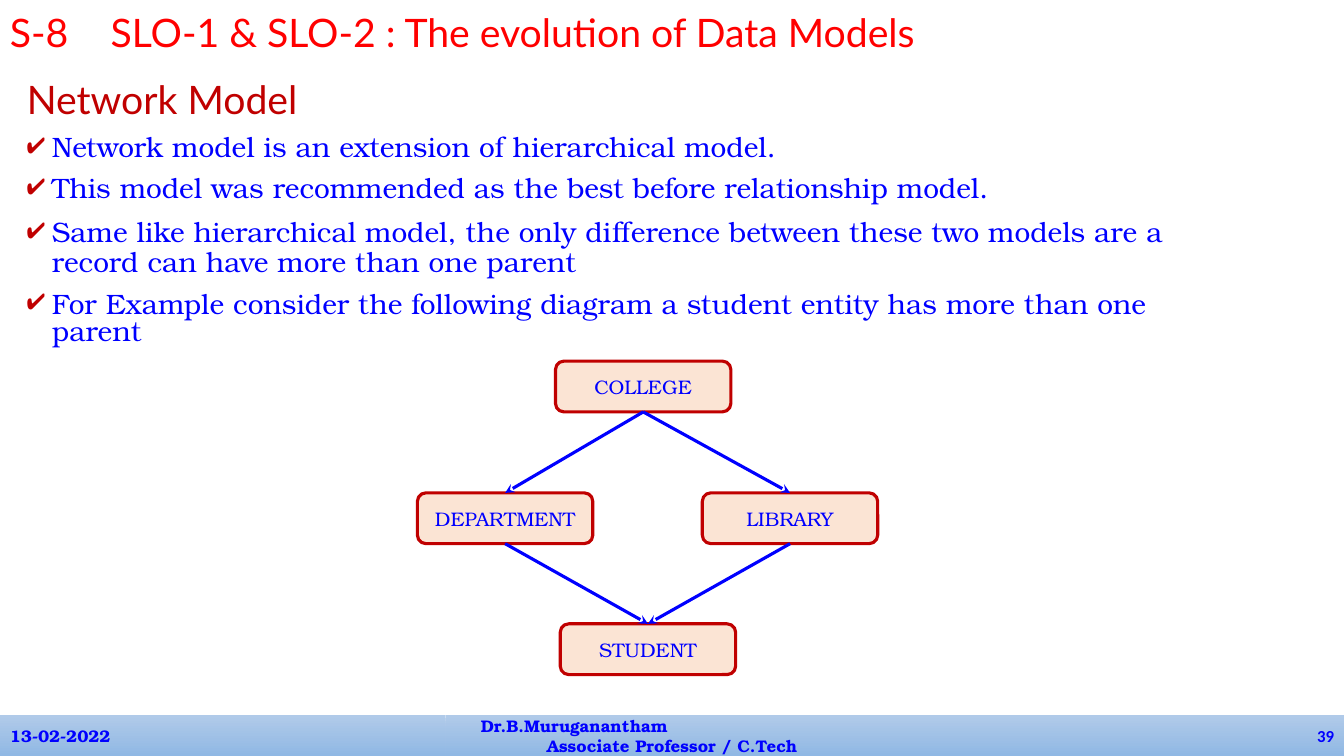
import pptx
import pptx.util
import pptx.dml.color
import pptx.enum.shapes
import pptx.enum.text
import pptx.oxml.ns
import lxml.etree

Cm = pptx.util.Cm
Pt = pptx.util.Pt
ALIGN = pptx.enum.text.PP_ALIGN
SHAPES = pptx.enum.shapes.MSO_SHAPE
COLOURS = {
    "title": "FF0000",
    "accent": "C00000",
    "text": "0000FF",
    "entity": "FBE4D4",
    "bar_top": "B0CAE9",
    "bar_bottom": "90B8E4",
}
SERIF = "TeX Gyre Bonum"


def colour(name):
    return pptx.dml.color.RGBColor.from_string(COLOURS[name])


def add_run(paragraph, text, size, font, colour_name, bold=False):
    run = paragraph.add_run()
    run.text = text
    run.font.size = Pt(size)
    run.font.name = font
    run.font.bold = bold
    run.font.color.rgb = colour(colour_name)


presentation = pptx.Presentation()
presentation.slide_width = Cm(33.87)
presentation.slide_height = Cm(19.05)
slide = presentation.slides.add_slide(presentation.slide_layouts[6])

body = slide.shapes.add_textbox(Cm(0.43), Cm(2.01), Cm(29.21), Cm(7.16)).text_frame
body.word_wrap = True
heading = body.paragraphs[0]
heading.line_spacing = 0.8
add_run(heading, "Network Model", 28, "Lato", "accent")

bullets = [
    ("Network model is an extension of hierarchical model.", 0.8),
    ("This model was recommended as the best before relationship model.", 0.8),
    ("Same like hierarchical model, the only difference between these two models are a "
     "record can have more than one parent", 0.9),
    ("For Example consider the following diagram a student entity has more than one parent", 0.8),
]
for text, spacing in bullets:
    paragraph = body.add_paragraph()
    properties = paragraph._p.get_or_add_pPr()
    properties.set("marL", str(Cm(0.63)))
    properties.set("indent", str(-Cm(0.63)))
    bullet_colour = lxml.etree.SubElement(properties, pptx.oxml.ns.qn("a:buClr"))
    lxml.etree.SubElement(bullet_colour, pptx.oxml.ns.qn("a:srgbClr"), val=COLOURS["accent"])
    lxml.etree.SubElement(properties, pptx.oxml.ns.qn("a:buChar"), char="✔")
    paragraph.line_spacing = spacing
    paragraph.space_before = Pt(10)
    add_run(paragraph, text, 20, SERIF, "text")

footers = [
    (0, 11.23, SERIF, [("13-02-2022", ALIGN.LEFT, 0)]),
    (11.23, 11.43, SERIF, [("Dr.B.Muruganantham", ALIGN.LEFT, 0.64),
                           ("Associate Professor / C.Tech", ALIGN.CENTER, 0)]),
    (22.66, 11.21, "Calibri", [("39", ALIGN.RIGHT, 0)]),
]
for left, width, font, lines in footers:
    bar = slide.shapes.add_shape(SHAPES.RECTANGLE, Cm(left), Cm(18.03), Cm(width), Cm(1.02))
    bar.shadow.inherit = False
    bar.line.fill.background()
    bar.fill.gradient()
    bar.fill.gradient_angle = 270
    for stop, name in zip(bar.fill.gradient_stops, ("bar_top", "bar_bottom")):
        stop.color.rgb = colour(name)
    frame = bar.text_frame
    frame.vertical_anchor = pptx.enum.text.MSO_ANCHOR.MIDDLE
    for index, (text, alignment, margin) in enumerate(lines):
        paragraph = frame.add_paragraph() if index else frame.paragraphs[0]
        paragraph.alignment = alignment
        paragraph._p.get_or_add_pPr().set("marL", str(Cm(margin)))
        add_run(paragraph, text, 12, font, "text", True)

title = slide.shapes.add_textbox(0, Cm(0.08), Cm(30.48), Cm(1.45)).text_frame
title.word_wrap = True
add_run(title.paragraphs[0], "S-8\tSLO-1 & SLO-2 : The evolution of Data Models", 28, "Lato", "title")

entities = {}
for name, left, top in [
    ("COLLEGE", 14, 9.1),
    ("STUDENT", 14.12, 15.72),
    ("DEPARTMENT", 10.52, 12.42),
    ("LIBRARY", 17.7, 12.42),
]:
    entity = slide.shapes.add_shape(SHAPES.ROUNDED_RECTANGLE, Cm(left), Cm(top), Cm(4.42), Cm(1.28))
    entity.shadow.inherit = False
    entity.fill.solid()
    entity.fill.fore_color.rgb = colour("entity")
    entity.line.color.rgb = colour("accent")
    entity.line.width = Pt(2.25)
    entity.text_frame.vertical_anchor = pptx.enum.text.MSO_ANCHOR.MIDDLE
    paragraph = entity.text_frame.paragraphs[0]
    paragraph.alignment = ALIGN.CENTER
    add_run(paragraph, name, 14, SERIF, "text")
    entities[name] = entity

BOTTOM_SITE, TOP_SITE = 2, 0
for parent, child in [
    ("COLLEGE", "DEPARTMENT"),
    ("COLLEGE", "LIBRARY"),
    ("DEPARTMENT", "STUDENT"),
    ("LIBRARY", "STUDENT"),
]:
    arrow = slide.shapes.add_connector(pptx.enum.shapes.MSO_CONNECTOR.STRAIGHT, 0, 0, 0, 0)
    arrow.begin_connect(entities[parent], BOTTOM_SITE)
    arrow.end_connect(entities[child], TOP_SITE)
    arrow.line.color.rgb = colour("text")
    arrow.line.width = Pt(2.25)
    lxml.etree.SubElement(arrow.line._get_or_add_ln(), pptx.oxml.ns.qn("a:tailEnd"), type="stealth")
    lxml.etree.SubElement(arrow._element.spPr, pptx.oxml.ns.qn("a:effectLst"))

presentation.save("out.pptx")
